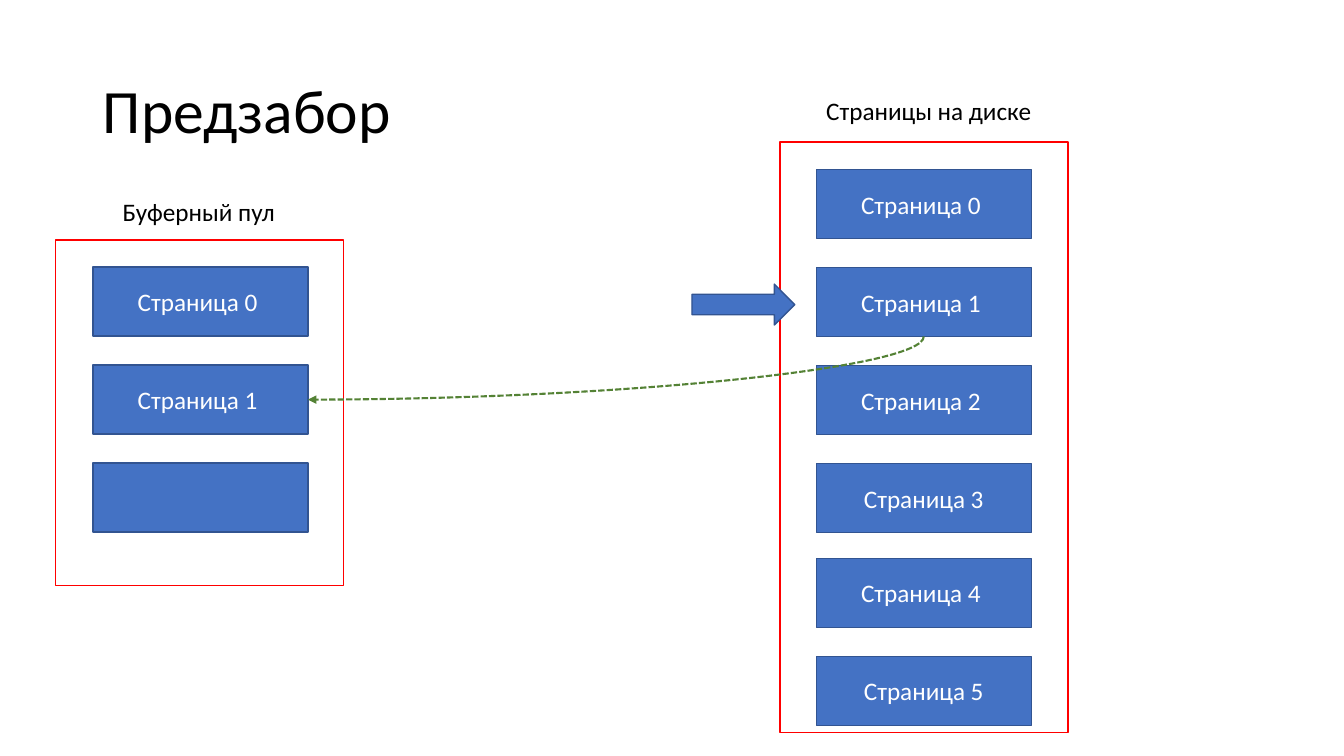
from lxml import etree
from pptx import Presentation
from pptx.dml.color import RGBColor
from pptx.enum.dml import MSO_LINE
from pptx.enum.shapes import MSO_CONNECTOR, MSO_SHAPE
from pptx.enum.text import MSO_ANCHOR, MSO_AUTO_SIZE, PP_ALIGN
from pptx.oxml.ns import qn
from pptx.util import Cm, Pt

RECTANGLE, RIGHT_ARROW = MSO_SHAPE.RECTANGLE, MSO_SHAPE.RIGHT_ARROW
CURVE, DASH = MSO_CONNECTOR.CURVE, MSO_LINE.SQUARE_DOT
MIDDLE, TOP = MSO_ANCHOR.MIDDLE, MSO_ANCHOR.TOP
LEFT, CENTER = PP_ALIGN.LEFT, PP_ALIGN.CENTER
GROW, FIXED = MSO_AUTO_SIZE.SHAPE_TO_FIT_TEXT, MSO_AUTO_SIZE.NONE

BLUE = RGBColor(0x44, 0x72, 0xC4)
NAVY = RGBColor(0x32, 0x54, 0x91)
RED = RGBColor(0xFF, 0, 0)
GREEN = RGBColor(0x54, 0x82, 0x35)
BLACK = RGBColor(0, 0, 0)
WHITE = RGBColor(0xFF, 0xFF, 0xFF)

TITLE = "Предзабор"
STORES = [
    {
        "label": "Буферный пул",
        "label_at": (2.84, 4.83, 4.4, 1.03),
        "wrap": False,
        "frame": (1.4, 6.05, 7.26, 8.71),
        "first": (2.34, 6.73),
        "pages": ["Страница 0 ", "Страница 1 ", ""],
    },
    {
        "label": "Страницы на диске",
        "label_at": (20.57, 2.29, 6.65, 1.03),
        "wrap": True,
        "frame": (19.66, 3.58, 7.26, 14.88),
        "first": (20.57, 4.27),
        "pages": ["Страница 0 ", "Страница 1 ", "Страница 2 ",
                  "Страница 3", "Страница 4 ", "Страница 5"],
    },
]
PAGE_WIDTH, PAGE_HEIGHT, PITCH = 5.42, 1.74, 2.47
LOWER_ROW, LOWER_SHIFT = 4, 0.08
POINTER = (17.44, 7.16, 2.59, 1.03)


def write(box, text, size, color, align, **frame_format):
    frame = box.text_frame
    for name, value in frame_format.items():
        setattr(frame, name, value)
    para = frame.paragraphs[0]
    para.alignment = align
    span = para.add_run()
    span.text = text
    for name, value in {"size": Pt(size), "name": "Calibri"}.items():
        setattr(span.font, name, value)
    span.font.color.rgb = color
    return para


def draw(page, kind, place, line, fill=None):
    shape = page.shapes.add_shape(kind, *map(Cm, place))
    shape.shadow.inherit = False
    if fill is None:
        shape.fill.background()
    else:
        shape.fill.solid()
        shape.fill.fore_color.rgb = fill
    shape.line.color.rgb = line
    shape.line.width = Pt(1)
    return shape


def draw_store(page, store):
    left, top = store["first"]
    for row, text in enumerate(store["pages"]):
        row_top = top + row * PITCH - (LOWER_SHIFT if row >= LOWER_ROW else 0)
        place = (left, row_top, PAGE_WIDTH, PAGE_HEIGHT)
        box = draw(page, RECTANGLE, place, NAVY, BLUE)
        if text:
            write(box, text, 18, WHITE, CENTER, vertical_anchor=MIDDLE)
    draw(page, RECTANGLE, store["frame"], RED)
    label = page.shapes.add_textbox(*map(Cm, store["label_at"]))
    write(label, store["label"], 18, BLACK, LEFT, vertical_anchor=TOP,
          word_wrap=store["wrap"], auto_size=GROW)


def draw_fetch(page, pool, disk):
    start_x = disk["first"][0] + PAGE_WIDTH / 2
    start_y = disk["first"][1] + PITCH + PAGE_HEIGHT
    end_x = pool["first"][0] + PAGE_WIDTH
    end_y = pool["first"][1] + PITCH + PAGE_HEIGHT / 2
    middle_x, middle_y = (start_x + end_x) / 2, (start_y + end_y) / 2
    half_width, half_height = (end_y - start_y) / 2, (start_x - end_x) / 2
    corners = (middle_x - half_width, middle_y - half_height,
               middle_x + half_width, middle_y + half_height)
    fetch = page.shapes.add_connector(CURVE, *map(Cm, corners))
    fetch.line.color.rgb = GREEN
    fetch.line.width = Pt(1.5)
    fetch.line.dash_style = DASH
    properties = fetch.element.spPr
    properties.find(qn("a:xfrm")).set("rot", "5400000")
    properties.find(qn("a:prstGeom")).set("prst", "curvedConnector2")
    etree.SubElement(properties.find(qn("a:ln")), qn("a:tailEnd"), type="triangle")
    etree.SubElement(properties, qn("a:effectLst"))


def main():
    deck = Presentation()
    deck.slide_width, deck.slide_height = Cm(33.87), Cm(19.05)
    page = deck.slides.add_slide(deck.slide_layouts[5])
    title = page.shapes.title
    title.left, title.top, title.width, title.height = map(Cm, (2.34, 1.02, 29.21, 3.68))
    heading = write(title, TITLE, 44, BLACK, LEFT, vertical_anchor=MIDDLE,
                    word_wrap=True, auto_size=FIXED)
    heading.line_spacing = 0.9
    for store in STORES:
        draw_store(page, store)
    draw(page, RIGHT_ARROW, POINTER, NAVY, BLUE)
    draw_fetch(page, *STORES)
    deck.save("out.pptx")


if __name__ == "__main__":
    main()
